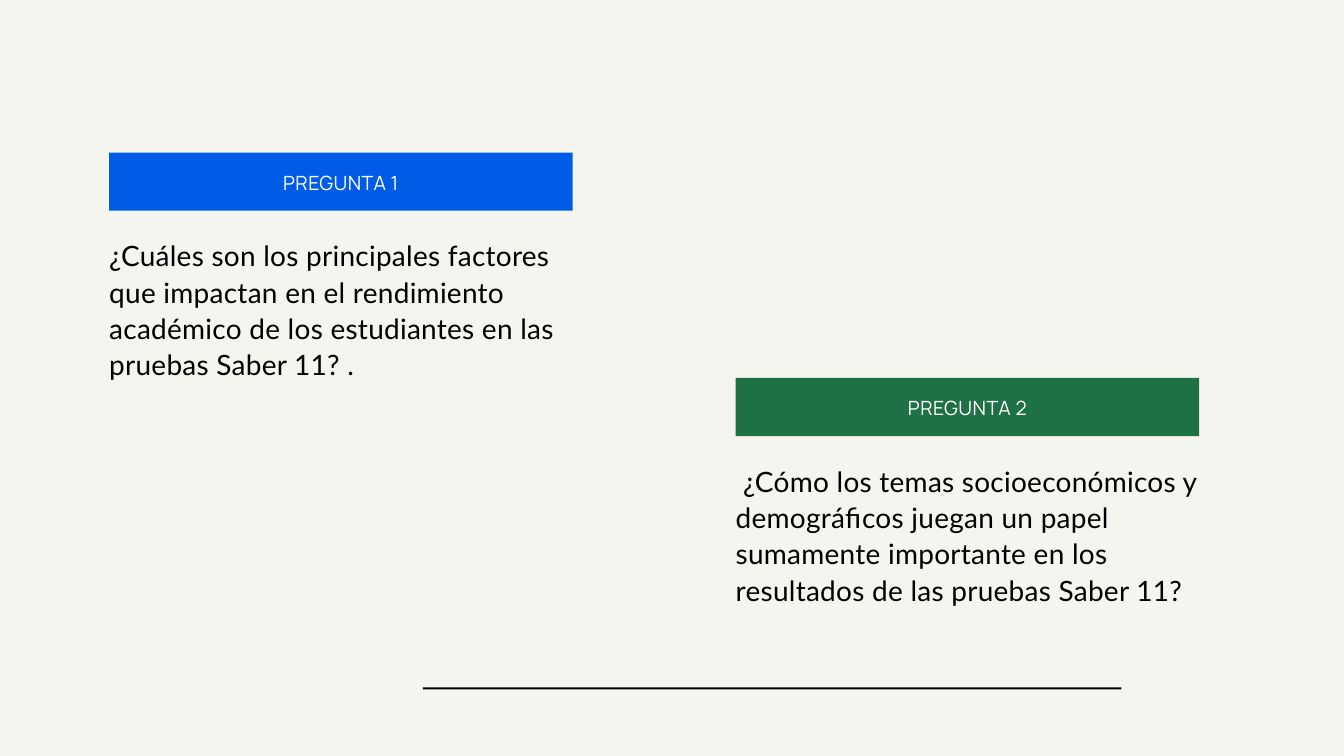
from dataclasses import dataclass

from pptx import Presentation
from pptx.dml.color import RGBColor
from pptx.enum.shapes import MSO_SHAPE
from pptx.enum.text import MSO_AUTO_SIZE, PP_ALIGN
from pptx.util import Emu, Pt

EMU_PER_PX = 9525


@dataclass(frozen=True)
class Theme:
    background: str = "F5F5EF"
    ink: str = "000000"
    label_ink: str = "FFFFFF"
    blue: str = "005CE6"
    green: str = "1D7144"
    body_font: str = "Lato"
    label_font: str = "Manrope"
    body_size: int = 30
    label_size: int = 21


THEME = Theme()

BAR_WIDTH, BAR_HEIGHT = 662, 83
LABEL_INSET, LABEL_DROP, LABEL_HEIGHT = 52, 26, 33
BODY_DROP, BODY_HEIGHT = 119, 203

QUESTIONS = [
    (156, 218, THEME.blue, "PREGUNTA 1",
     "¿Cuáles son los principales factores que impactan en el rendimiento "
     "académico de los estudiantes en las pruebas Saber 11? ."),
    (1051, 540, THEME.green, "PREGUNTA 2",
     " ¿Cómo los temas socioeconómicos y demográficos juegan un papel "
     "sumamente importante en los resultados de las pruebas Saber 11?"),
]


def px(*lengths):
    return [Emu(length * EMU_PER_PX) for length in lengths]


def add_bar(shapes, left, top, width, height, color):
    bar = shapes.add_shape(MSO_SHAPE.RECTANGLE, *px(left, top, width, height))
    bar.shadow.inherit = False
    bar.fill.solid()
    bar.fill.fore_color.rgb = RGBColor.from_string(color)
    bar.line.fill.background()


def add_text(shapes, text, left, top, width, height, *, font, size, color,
             leading, tracking, align=PP_ALIGN.LEFT):
    """Leading is in points, tracking in hundredths of a point."""
    box = shapes.add_textbox(*px(left, top, width, height))
    frame = box.text_frame
    frame.word_wrap = True
    frame.auto_size = MSO_AUTO_SIZE.SHAPE_TO_FIT_TEXT
    frame.margin_left = frame.margin_right = 0
    frame.margin_top = frame.margin_bottom = 0
    para = frame.paragraphs[0]
    para.alignment = align
    para.line_spacing = Pt(leading)
    span = para.add_run()
    span.text = text
    span.font.name = font
    span.font.size = Pt(size)
    span.font.color.rgb = RGBColor.from_string(color)
    span.font._element.set("spc", str(tracking))


def add_question(page, left, top, color, label, question):
    shapes = page.shapes.add_group_shape().shapes
    add_bar(shapes, left, top, BAR_WIDTH, BAR_HEIGHT, color)
    add_text(shapes, question, left, top + BODY_DROP, BAR_WIDTH, BODY_HEIGHT,
             font=THEME.body_font, size=THEME.body_size, color=THEME.ink,
             leading=39, tracking=30)
    add_text(shapes, label, left + LABEL_INSET, top + LABEL_DROP,
             BAR_WIDTH - 2 * LABEL_INSET, LABEL_HEIGHT,
             font=THEME.label_font, size=THEME.label_size,
             color=THEME.label_ink, leading=25.2, tracking=50,
             align=PP_ALIGN.CENTER)


def main():
    deck = Presentation()
    deck.slide_width, deck.slide_height = px(1920, 1080)
    page = deck.slides.add_slide(deck.slide_layouts[6])
    page.background.fill.solid()
    page.background.fill.fore_color.rgb = RGBColor.from_string(THEME.background)

    for question in QUESTIONS:
        add_question(page, *question)
    add_bar(page.shapes, 604, 982, 998, 3, THEME.ink)

    deck.save("out.pptx")


if __name__ == "__main__":
    main()
